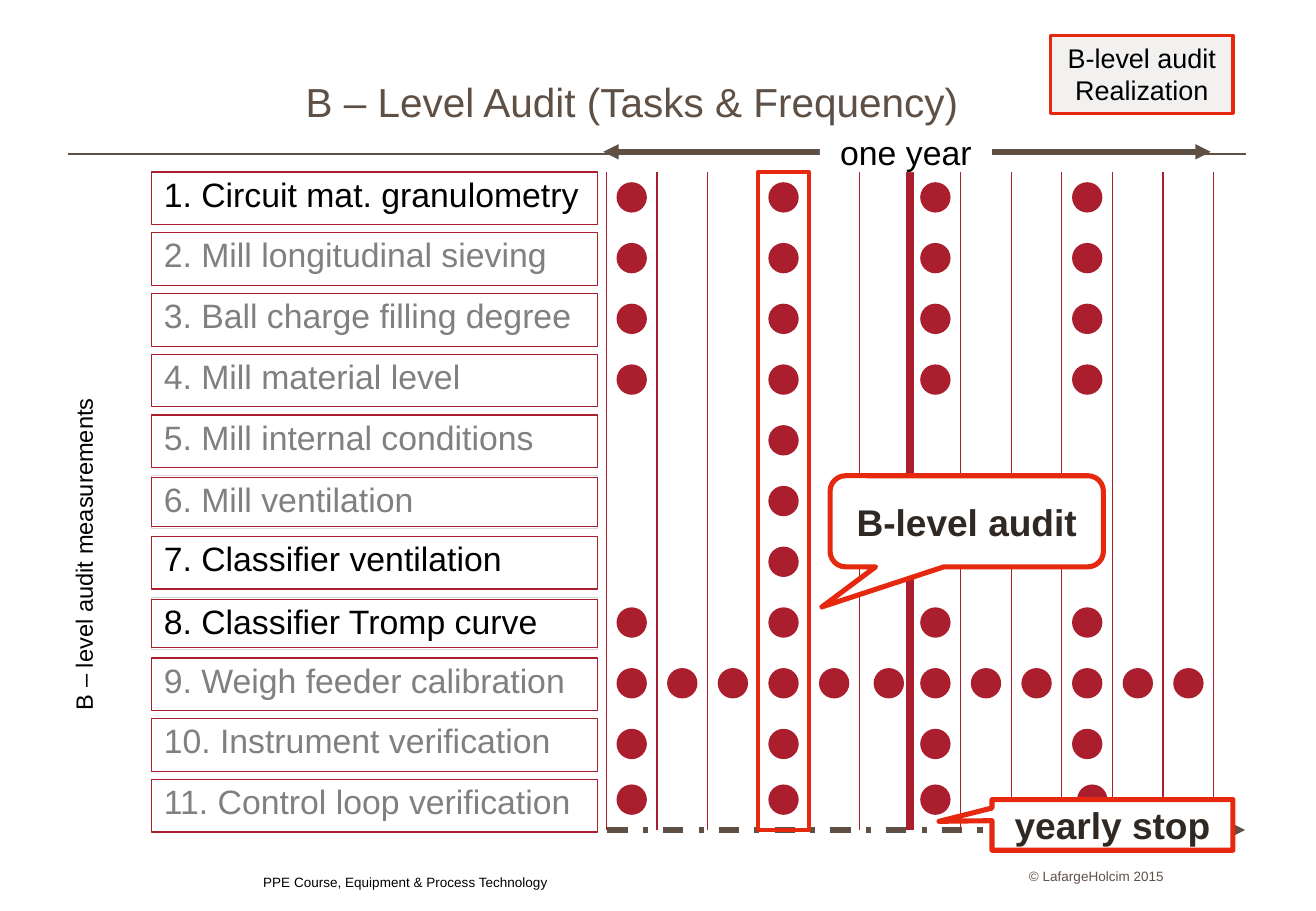
from lxml import etree
from pptx import Presentation, util as u
from pptx.dml.color import RGBColor
from pptx.enum import dml, shapes, text
from pptx.oxml.ns import qn

PX = 7620  # 120 px to the inch
SLIDE = (1300, 900)
FONT = "Arial"
COLORS = {
    "red": "AA1E2D", "bright": "E6280F", "brown": "5F5046", "dark": "2F2823",
    "black": "000000", "grey": "808080", "pale": "D9D9D9", "badge": "E7E4E3",
    "white": "FFFFFF",
}

TITLE = "B – Level Audit (Tasks & Frequency)"
QUARTERLY, AUDIT_ONLY, MONTHLY = (0, 3, 6, 9), (3,), tuple(range(12))
# task, colour, months with a measurement, label on a pale backing box
TASKS = [
    ("1. Circuit mat. granulometry", "black", QUARTERLY, False),
    ("2. Mill longitudinal sieving", "grey", QUARTERLY, False),
    ("3. Ball charge filling degree", "grey", QUARTERLY, False),
    ("4. Mill material level", "grey", QUARTERLY, False),
    ("5. Mill internal conditions", "grey", AUDIT_ONLY, False),
    ("6. Mill ventilation", "grey", AUDIT_ONLY, True),
    ("7. Classifier ventilation", "black", AUDIT_ONLY, False),
    ("8. Classifier Tromp curve", "black", QUARTERLY, True),
    ("9. Weigh feeder calibration", "grey", MONTHLY, False),
    ("10. Instrument verification", "grey", QUARTERLY, False),
    ("11. Control loop verification", "grey", QUARTERLY, False),
]
NUDGES = {(8, 5): (4, 0), (10, 9): (5, 0)}  # (row, month): px right, px down
LAST_ROW_LIFT = 5

LABEL_X, LABEL_W, LABEL_H = 150, 440, 52
GRID_X, GRID_TOP, GRID_BOTTOM = 599, 170, 820
MONTH_W, ROW_H, DOT = 50, 60, 30
STOP_MONTH, AUDIT_MONTH = 6, 3

SHAPE = shapes.MSO_SHAPE
ANCHOR = text.MSO_ANCHOR
ALIGN = text.PP_ALIGN

prs = Presentation()
prs.slide_width, prs.slide_height = (n * PX for n in SLIDE)
s = prs.slides.add_slide(prs.slide_layouts[5])


def rgb(name):
    return RGBColor.from_string(COLORS[name])


def box(kind, x, y, w, h, fill=None, line=None, width=0.75, adj=()):
    sp = s.shapes.add_shape(kind, x * PX, y * PX, w * PX, h * PX)
    sp.shadow.inherit = False
    if fill:
        sp.fill.solid()
        sp.fill.fore_color.rgb = rgb(fill)
    else:
        sp.fill.background()
    if line:
        sp.line.color.rgb = rgb(line)
        sp.line.width = u.Pt(width)
    else:
        sp.line.fill.background()
    for i, value in enumerate(adj):
        sp.adjustments[i] = value
    return sp


def write(sp, words, size, color, align=ALIGN.CENTER, anchor=ANCHOR.MIDDLE,
          bold=False, spacing=1.0, inset=None):
    tf = sp.text_frame
    tf.text = words
    tf.word_wrap = True
    tf.auto_size = text.MSO_AUTO_SIZE.NONE
    tf.vertical_anchor = anchor
    if inset is not None:
        tf.margin_left = tf.margin_right = inset * PX
        tf.margin_top = tf.margin_bottom = inset * PX
    p = tf.paragraphs[0]
    p.alignment, p.line_spacing = align, spacing
    p.font.name, p.font.size, p.font.bold = FONT, u.Pt(size), bold
    p.font.color.rgb = rgb(color)


def textbox(x, y, w, h):
    return s.shapes.add_textbox(x * PX, y * PX, w * PX, h * PX)


def rule(x1, y1, x2, y2, color, width, heads=()):
    """Draw a straight line; heads may hold "headEnd" and "tailEnd"."""
    c = s.shapes.add_connector(shapes.MSO_CONNECTOR.STRAIGHT,
                               x1 * PX, y1 * PX, x2 * PX, y2 * PX)
    c.line.color.rgb = rgb(color)
    c.line.width = u.Pt(width)
    for head in heads:
        etree.SubElement(c.line._get_or_add_ln(), qn("a:" + head), type="triangle")
    etree.SubElement(c._element.spPr, qn("a:effectLst"))
    return c


# Title, header rule and footer
title = s.shapes.title
title.left, title.top, title.width, title.height = (n * PX for n in (68, 25, 1163, 112))
write(title, TITLE, 24, "brown", ALIGN.LEFT, ANCHOR.BOTTOM, spacing=0.95, inset=12)
title.text_frame.margin_left = 234 * PX
rule(67, 152, 1231, 152, "brown", 1)
write(textbox(992, 852, 158, 22), "© LafargeHolcim 2015", 8, "brown",
      ALIGN.RIGHT, ANCHOR.BOTTOM, inset=0)
write(textbox(260, 857, 484, 22), "PPE Course, Equipment & Process Technology", 8,
      "black", ALIGN.LEFT, ANCHOR.BOTTOM, inset=0)

# Time axis and month grid
axis = rule(600, GRID_BOTTOM, 1230, GRID_BOTTOM, "brown", 3, ["tailEnd"])
axis.line.dash_style = dml.MSO_LINE.DASH_DOT
for month in range(13):
    x = GRID_X + MONTH_W * month
    rule(x, GRID_TOP, x, GRID_BOTTOM, "red", 4.5 if month == STOP_MONTH else 0.75)

# Task labels and measurement dots
for row, (task, color, months, backed) in enumerate(TASKS):
    y = GRID_TOP + ROW_H * row
    trim = 2 if backed else 0
    if backed:
        box(SHAPE.RECTANGLE, LABEL_X, y, LABEL_W, LABEL_H, line="pale")
    label = box(SHAPE.RECTANGLE, LABEL_X, y + trim, LABEL_W, LABEL_H - 2 * trim, line="red")
    write(label, task, 20, color, ALIGN.LEFT, ANCHOR.TOP, spacing=0.9)
    lift = LAST_ROW_LIFT if row == len(TASKS) - 1 else 0
    for month in months:
        dx, dy = NUDGES.get((row, month), (0, 0))
        box(SHAPE.OVAL, GRID_X + 10 + MONTH_W * month + dx, y + 10 - lift + dy,
            DOT, DOT, fill="red")

# Year span
rule(596, 150, 1196, 150, "brown", 3, ["headEnd", "tailEnd"])
year = box(SHAPE.RECTANGULAR_CALLOUT, 810, 130, 170, 40, "white", adj=(0.43, 0.38))
write(year, "one year", 20, "black")

# Audit month and callouts
box(SHAPE.RECTANGLE, GRID_X + MONTH_W * AUDIT_MONTH, GRID_TOP, MONTH_W,
    GRID_BOTTOM - GRID_TOP, line="bright", width=2.5)
audit = box(SHAPE.ROUNDED_RECTANGULAR_CALLOUT, 820, 470, 270, 90, "white", "bright", 3,
            (-0.53, 0.94, 0.17))
write(audit, "B-level audit", 22, "dark", bold=True)
stop = box(SHAPE.RECTANGULAR_CALLOUT, 980, 790, 238, 50, "white", "bright", 3,
           (-0.72, -0.07))
write(stop, "yearly stop", 22, "dark", bold=True)

# Side heading and corner badge
side = textbox(-142, 461, 457, 48)
side.rotation = 270
write(side, "B – level audit measurements", 14, "black", ALIGN.LEFT, ANCHOR.TOP)
badge = box(SHAPE.RECTANGLE, 1038, 35, 180, 77, "badge", "bright", 2)
shade = badge._element.spPr.find(qn("a:solidFill"))[0]
etree.SubElement(shade, qn("a:alpha"), val="50000")
write(badge, "B-level audit Realization", 16, "black", anchor=ANCHOR.TOP)

prs.save("out.pptx")
